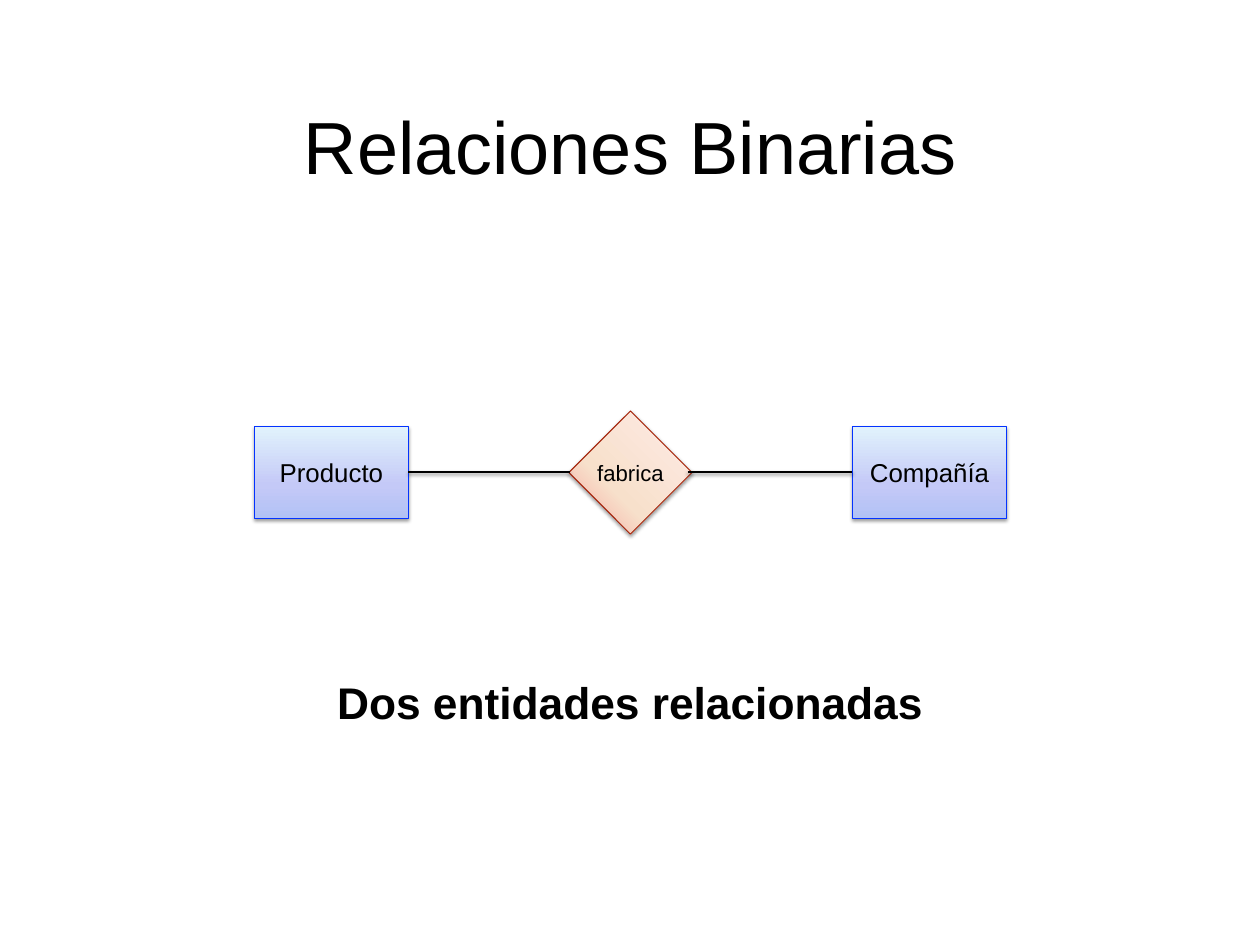
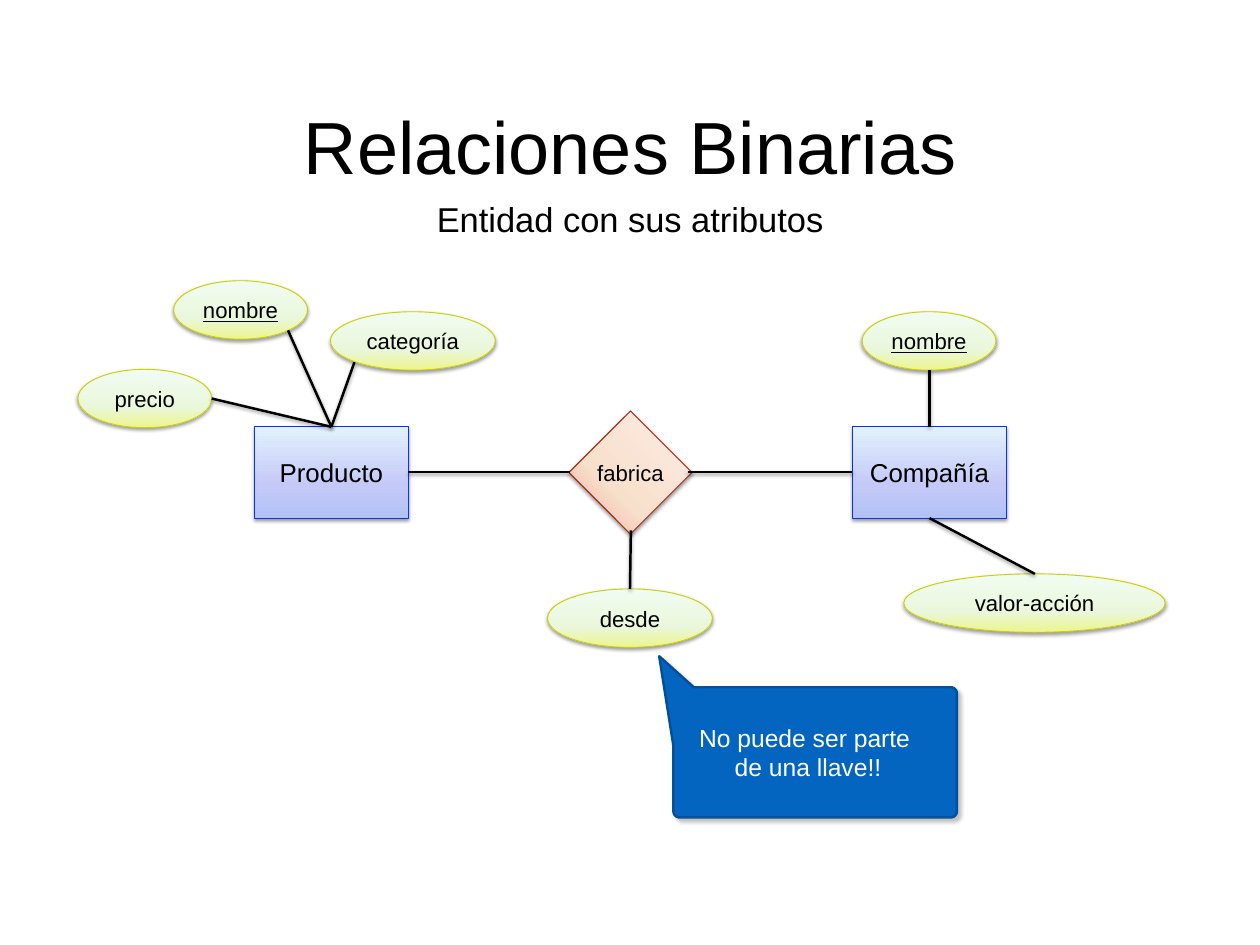
from copy import deepcopy
from math import cos, sin, radians
from pptx import Presentation
from pptx import oxml
from pptx.dml.color import RGBColor
from pptx.enum import shapes as kinds, text as txt
from pptx.oxml import ns
from pptx.util import Inches, Pt

BLACK = RGBColor(0x00, 0x00, 0x00)
WHITE = RGBColor(0xFF, 0xFF, 0xFF)
NAVY = RGBColor(0x02, 0x50, 0x99)
BLUE = RGBColor(0x03, 0x65, 0xC0)
FONT = "Arial"
KIND = kinds.MSO_SHAPE

# form: preset, line colour, gradient angle, gradient stops, text size
STOPS = (0, 0.36, 1)
ENTITY = (KIND.RECTANGLE, RGBColor(0x04, 0x33, 0xFF), 90, 21,
          (RGBColor(0xB2, 0xC2, 0xF5), RGBColor(0xC4, 0xC9, 0xF7), RGBColor(0xE1, 0xF2, 0xFC)))
LINK = (KIND.DIAMOND, RGBColor(0xA0, 0x1D, 0x04), 45, 18,
        (RGBColor(0xF5, 0xA0, 0x9A), RGBColor(0xF7, 0xE0, 0xCB), RGBColor(0xFF, 0xEB, 0xE7)))
FIELD = (KIND.OVAL, RGBColor(0xCC, 0xCF, 0x00), 90, 18,
         (RGBColor(0xEC, 0xF5, 0x8E), RGBColor(0xEA, 0xF7, 0xDC), RGBColor(0xF1, 0xFC, 0xF1)))


def write(shape, lines, size, color=BLACK, inset=0, wrap=True, bold=False, under=False):
    """Fill a shape with centred lines of text."""
    frame = shape.text_frame
    frame.auto_size = txt.MSO_AUTO_SIZE.NONE
    frame.word_wrap = wrap
    frame.vertical_anchor = txt.MSO_ANCHOR.MIDDLE
    frame.margin_left = frame.margin_right = Inches(inset)
    frame.margin_top = frame.margin_bottom = Inches(inset)
    for i, line in enumerate(lines):
        para = frame.add_paragraph() if i else frame.paragraphs[0]
        para.alignment = txt.PP_ALIGN.CENTER
        para.space_before = Pt(0)
        run = para.add_run()
        run.text = line
        font = run.font
        font.name, font.size, font.bold, font.underline = FONT, Pt(size), bold, under
        font.color.rgb = color


def edge(shape, color, width, alpha=38, dist=1.6, angle=90):
    """Set the outline of a shape and the soft shadow under it."""
    shape.line.color.rgb = color
    shape.line.width = Pt(width)
    props = shape._element.spPr
    props.append(oxml.parse_xml(
        f'<a:effectLst {ns.nsdecls("a")}><a:outerShdw blurRad="{Pt(3)}" dist="{Pt(dist)}" '
        f'dir="{angle * 60000}" rotWithShape="0"><a:srgbClr val="000000">'
        f'<a:alpha val="{alpha * 1000}"/></a:srgbClr></a:outerShdw></a:effectLst>'))


# Each node: form, word, left, top, width, height
core = [(ENTITY, "Producto", 2.87, 4.82, 1.74, 1.03),
        (LINK, "fabrica", 6.42, 4.64, 1.39, 1.39),
        (ENTITY, "Compañía", 9.62, 4.82, 1.74, 1.03)]
fields = [(FIELD, word, x, y, w, 0.66) for word, x, y, w in (
    ("nombre", 1.96, 3.17, 1.51), ("precio", 0.88, 4.17, 1.51),
    ("categoría", 3.73, 3.52, 1.86), ("nombre", 9.73, 3.52, 1.51),
    ("valor-acción", 10.2, 6.48, 2.95), ("desde", 6.18, 6.65, 1.86))]
ties = [(4.61, 5.33, 6.43, 5.33), (7.76, 5.33, 9.62, 5.33)]
stems = [(3.74, 4.82, 2.39, 4.5), (3.74, 4.82, 3.25, 3.73), (3.74, 4.82, 4, 4.09),
         (10.49, 4.82, 10.49, 4.18), (10.49, 5.85, 11.68, 6.48), (7.11, 6.65, 7.12, 5.99)]
# Each page: caption, caption box, size, bold, nodes, lines
pages = [("Dos entidades relacionadas", (0.79, 7.57, 12.64, 0.71), 36, True, core, ties),
         ("Entidad con sus atributos", (4.12, 2.18, 5.98, 0.57), 28, False,
          core + fields, ties + stems)]

deck = Presentation()
deck.slide_width, deck.slide_height = Inches(14.22), Inches(10.67)

for label, box, size, bold, nodes, lines in pages:
    slide = deck.slides.add_slide(deck.slide_layouts[0])
    title, note = slide.placeholders
    for part, place in ((title, (2.14, 1.09, 9.94, 1.09)), (note, box)):
        part.left, part.top, part.width, part.height = map(Inches, place)
    write(title, ["Relaciones Binarias"], 60, inset=0.06)
    write(note, [label], size, inset=0.06, bold=bold)

    for (kind, rim, angle, points, tints), word, *place in nodes:
        node = slide.shapes.add_shape(kind, *map(Inches, place))
        node.fill.gradient()
        node.fill.gradient_angle = angle
        stops = node._element.spPr.find(".//" + ns.qn("a:gsLst"))
        stops.append(deepcopy(stops[0]))
        for stop, spot, tint in zip(node.fill.gradient_stops, STOPS, tints):
            stop.position = spot
            stop.color.rgb = tint
        edge(node, rim, 0.75)
        write(node, [word], points, wrap=False, under=word == "nombre")

    for ends in lines:
        line = slide.shapes.add_connector(kinds.MSO_CONNECTOR.STRAIGHT, *map(Inches, ends))
        edge(line, BLACK, 2)

# Callout on the last slide: a tail, then the box with rounded corners
left, top, right, base, curve = 7.6, 7.76, 10.8, 9.23, 0.07
outline = [(left, 8.42)]
for x, y, start in ((left + curve, base - curve, 180), (right - curve, base - curve, 90),
                    (right - curve, top + curve, 0)):
    for turn in range(0, 91, 15):
        arc = radians(start - turn)
        outline.append((x + curve * cos(arc), y + curve * sin(arc)))
outline.append((7.83, top))
pen = slide.shapes.build_freeform(Inches(7.44), Inches(7.41))
pen.add_line_segments([(Inches(x), Inches(y)) for x, y in outline])
call = pen.convert_to_shape()
call.fill.solid()
call.fill.fore_color.rgb = BLUE
edge(call, NAVY, 2, alpha=24, dist=3.3, angle=44)
write(call, ["No puede ser parte ", "de una llave!!"], 20, WHITE)
call.text_frame.margin_top = Inches(0.34)

deck.save("out.pptx")
